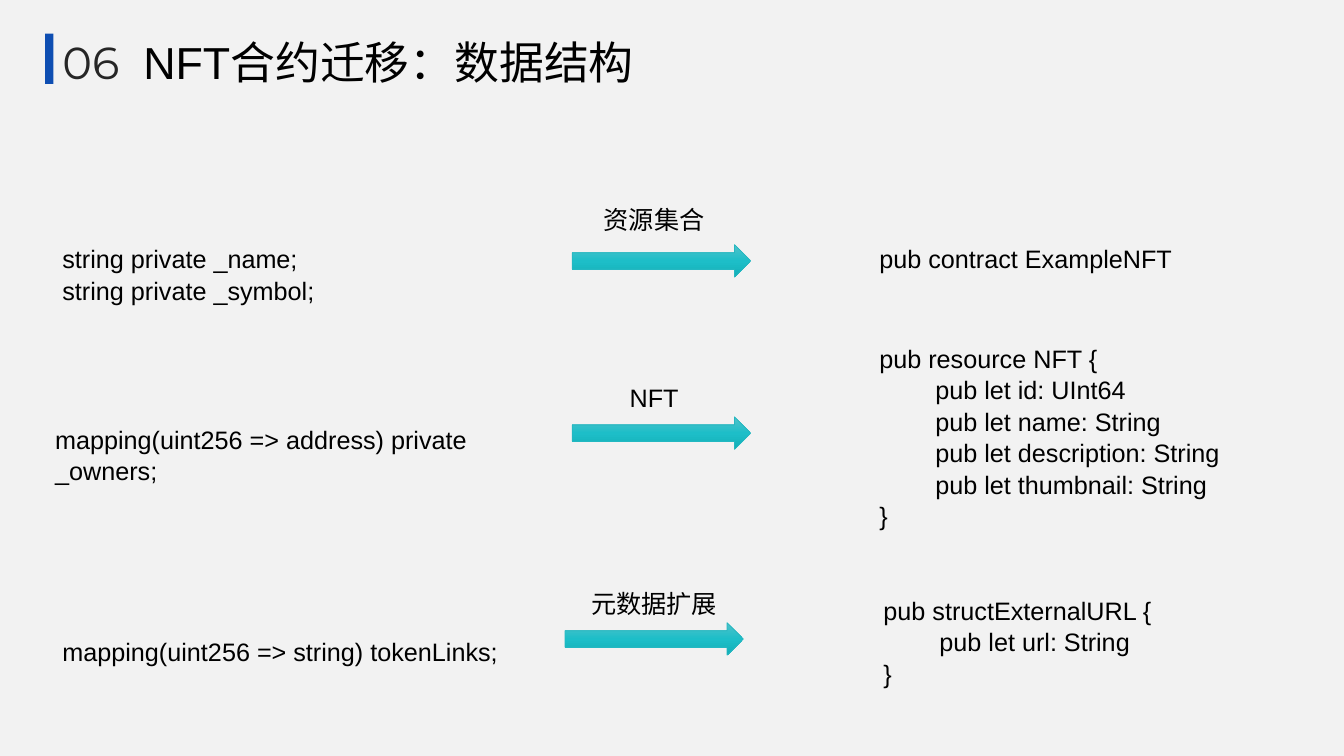
"""Build the slide that maps NFT contract data structures between two languages."""
from copy import deepcopy

from lxml import etree
from pptx import Presentation
from pptx.dml.color import RGBColor
from pptx.enum.shapes import MSO_SHAPE
from pptx.enum.text import PP_ALIGN
from pptx.oxml.ns import qn
from pptx.util import Pt

PX = 9525
RECTANGLE, RIGHT_ARROW = MSO_SHAPE.RECTANGLE, MSO_SHAPE.RIGHT_ARROW
LEFT, CENTER = PP_ALIGN.LEFT, PP_ALIGN.CENTER
BACKGROUND = RGBColor(0xF2, 0xF2, 0xF2)
BLUE = RGBColor(0x0E, 0x4E, 0xB2)
GREY = RGBColor(0x26, 0x26, 0x26)
BLACK = RGBColor(0, 0, 0)
ARROW_LINE = RGBColor(0x25, 0xB7, 0xC0)
ARROW_STOPS = [
    (0, RGBColor(0x50, 0xC2, 0xCA)),
    (0.5, RGBColor(0x1D, 0xBE, 0xC8)),
    (1, RGBColor(0x13, 0xAF, 0xB8)),
]
NUMBER_FONT = {"name": "Montserrat", "size": Pt(32)}
TITLE_FONT = {"name": "Arial", "size": Pt(32)}
BODY_FONT = {"name": "Arial", "size": Pt(18)}


def add_span(para, text, color, font):
    span = para.add_run()
    span.text = text
    span.font.color.rgb = color
    for name, value in font.items():
        setattr(span.font, name, value)


def add_text(page, place, lines, align=LEFT):
    box = page.shapes.add_textbox(*[n * PX for n in place])
    frame = box.text_frame
    frame.word_wrap = True
    for index, line in enumerate(lines):
        para = frame.add_paragraph() if index else frame.paragraphs[0]
        para.alignment = align
        para.line_spacing = 1.04
        add_span(para, line, BLACK, BODY_FONT)


deck = Presentation()
deck.slide_width, deck.slide_height = 1280 * PX, 720 * PX
page = deck.slides.add_slide(deck.slide_layouts[6])
page.background.fill.solid()
page.background.fill.fore_color.rgb = BACKGROUND

bar = page.shapes.add_shape(RECTANGLE, 43 * PX, 32 * PX, 8 * PX, 48 * PX)
bar.shadow.inherit = False
bar.fill.solid()
bar.fill.fore_color.rgb = BLUE
bar.line.fill.background()

title = page.shapes.add_textbox(50 * PX, 28 * PX, 1032 * PX, 61 * PX)
title.text_frame.word_wrap = True
heading = title.text_frame.paragraphs[0]
tabs = etree.SubElement(heading._p.get_or_add_pPr(), qn("a:tabLst"))
etree.SubElement(tabs, qn("a:tab"), pos=str(77 * PX), algn="l")
add_span(heading, "06\t", GREY, NUMBER_FONT)
add_span(heading, "NFT合约迁移：数据结构", BLACK, TITLE_FONT)

code_blocks = [
    ((50, 226, 488, 68), ["string private _name;", "string private _symbol;"]),
    ((43, 398, 495, 68), ["mapping(uint256 => address) private _owners;"]),
    ((50, 600, 488, 38), ["mapping(uint256 => string) tokenLinks;"]),
    ((828, 226, 423, 38), ["pub contract ExampleNFT"]),
    ((828, 321, 442, 184), [
        "pub resource NFT {",
        "        pub let id: UInt64",
        "        pub let name: String",
        "        pub let description: String",
        "        pub let thumbnail: String",
        "}",
    ]),
    ((832, 561, 383, 97), [
        "pub structExternalURL {",
        "        pub let url: String",
        "}",
    ]),
]
for place, lines in code_blocks:
    add_text(page, place, lines)

steps = [
    ("资源集合", 189, 545, 233),
    ("NFT", 358, 545, 397),
    ("元数据扩展", 554, 538, 593),
]
for label, label_top, arrow_left, arrow_top in steps:
    arrow = page.shapes.add_shape(
        RIGHT_ARROW, arrow_left * PX, arrow_top * PX, 170 * PX, 31 * PX)
    arrow.shadow.inherit = False
    arrow.fill.gradient()
    arrow.fill.gradient_angle = 270
    stop_list = arrow._element.spPr.find(".//" + qn("a:gsLst"))
    stop_list.append(deepcopy(stop_list[0]))
    for stop, (position, color) in zip(arrow.fill.gradient_stops, ARROW_STOPS):
        stop.position = position
        stop.color.rgb = color
    arrow.line.color.rgb = ARROW_LINE
    arrow.line.width = Pt(0.5)
    add_text(page, (543, label_top, 160, 38), [label], CENTER)

deck.save("out.pptx")
